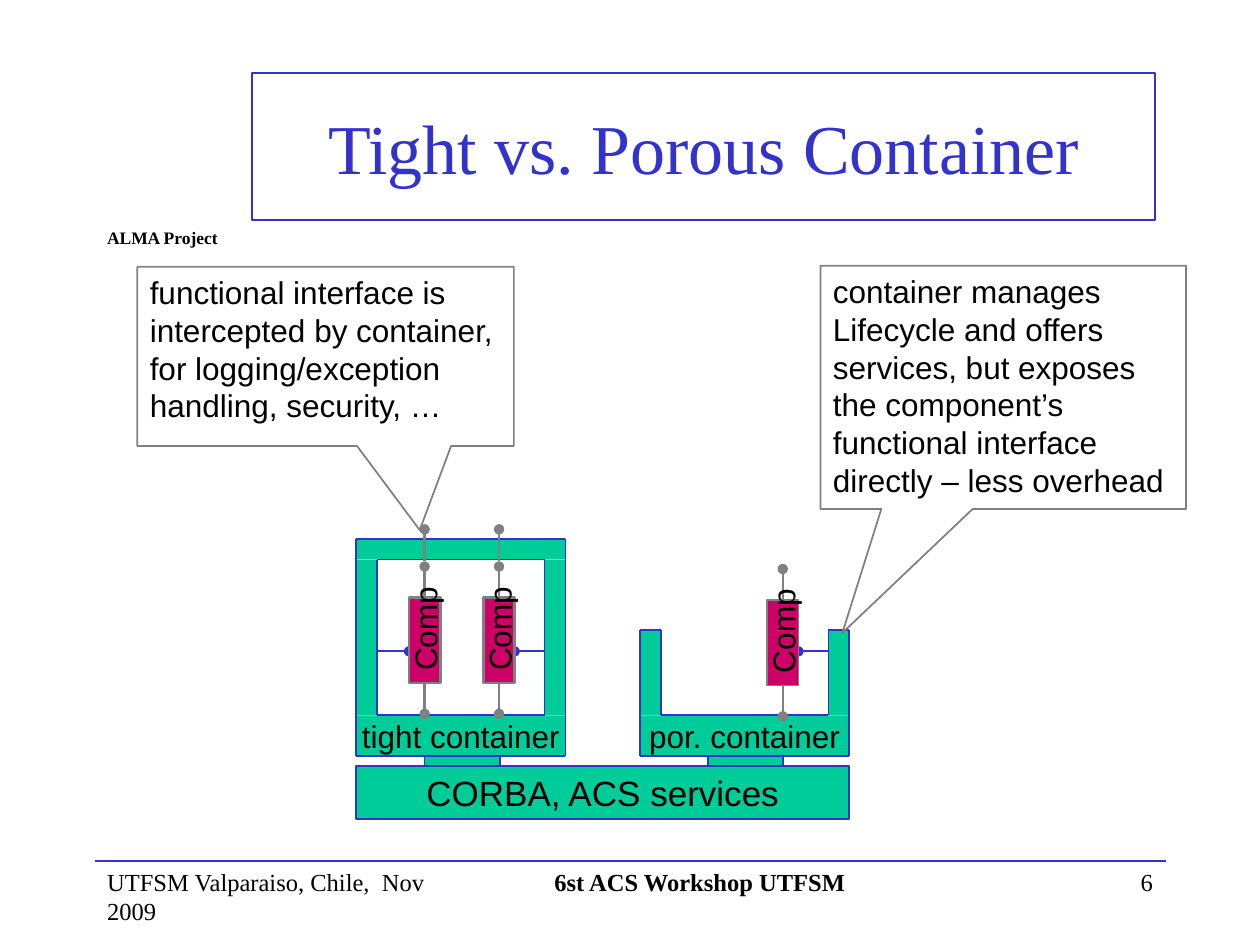
from itertools import pairwise

from lxml.etree import SubElement
from pptx import Presentation
from pptx.dml.color import RGBColor
from pptx.enum.shapes import MSO_CONNECTOR, MSO_SHAPE
from pptx.enum.text import MSO_ANCHOR, PP_ALIGN
from pptx.oxml.ns import qn
from pptx.util import Cm, Pt

COLORS = {"blue": "3333CC", "green": "00CC99", "magenta": "CC0066",
          "gray": "808080", "black": "000000"}

presentation = Presentation()
presentation.slide_width, presentation.slide_height = Cm(25.4), Cm(19.05)
slide = presentation.slides.add_slide(presentation.slide_layouts[6])


def add_box(text, left, top, width, height, kind=MSO_SHAPE.RECTANGLE, fill=None,
            line=None, weight=1, size=18, font="Arial", color="black", bold=False,
            align=PP_ALIGN.CENTER, anchor=MSO_ANCHOR.MIDDLE, wrap=False):
    """Add a shape, or a text box when kind is None; each text line is a paragraph."""
    place = Cm(left), Cm(top), Cm(width), Cm(height)
    if kind is None:
        shape = slide.shapes.add_textbox(*place)
    else:
        shape = slide.shapes.add_shape(kind, *place)
        shape.shadow.inherit = False
    if fill:
        shape.fill.solid()
        shape.fill.fore_color.rgb = RGBColor.from_string(COLORS[fill])
    else:
        shape.fill.background()
    if line:
        shape.line.color.rgb = RGBColor.from_string(COLORS[line])
        shape.line.width = Pt(weight)
    else:
        shape.line.fill.background()
    if text:
        frame = shape.text_frame
        frame.word_wrap = wrap
        frame.vertical_anchor = anchor
        frame.text = text
        for paragraph in frame.paragraphs:
            paragraph.alignment = align
            paragraph.font.size = Pt(size)
            paragraph.font.name = font
            paragraph.font.bold = bold
            paragraph.font.color.rgb = RGBColor.from_string(COLORS[color])
    return shape


def add_line(start, end, color="blue", weight=1, dot=False):
    """Add a straight line, with a round dot at its end if asked."""
    connector = slide.shapes.add_connector(
        MSO_CONNECTOR.STRAIGHT, *(Cm(value) for value in (*start, *end)))
    connector.line.color.rgb = RGBColor.from_string(COLORS[color])
    connector.line.width = Pt(weight)
    if dot:
        SubElement(connector.line._get_or_add_ln(), qn("a:tailEnd"), type="oval")
    SubElement(connector.element.spPr, qn("a:effectLst"))


# Title, project label and footer
serif = {"font": "Times New Roman"}
plain = {**serif, "kind": None, "anchor": MSO_ANCHOR.TOP, "wrap": True}
add_box("Tight vs. Porous Container", 5.08, 1.47, 18.21, 2.97, line="blue",
        size=40, color="blue", wrap=True, **serif)
add_box("ALMA Project", 1.91, 4.45, 2.79, 0.69, size=10, bold=True,
        align=PP_ALIGN.LEFT, **plain)
footer_top = 17.35
add_line((1.91, footer_top), (23.5, footer_top))
for text, left, width, align, bold in (
        ("UTFSM Valparaiso, Chile,  Nov  2009", 1.91, 7.59, PP_ALIGN.LEFT, False),
        ("6st ACS Workshop UTFSM ", 9.09, 10.16, PP_ALIGN.CENTER, True),
        ("6", 18.21, 5.28, PP_ALIGN.RIGHT, False)):
    add_box(text, left, footer_top, width, 1.27, size=14, bold=bold, align=align, **plain)

# Containers: filled walls, then their outlines
wall, outer_width, floor, bottom = 0.42, 4.22, 14.42, 15.24
tight_left, tight_top, ceiling = 7.18, 10.87, 11.28
porous_left, porous_top = 12.9, 12.7
tight_right, porous_right = tight_left + outer_width, porous_left + outer_width
tight_inner = tight_left + wall, tight_right - wall
porous_inner = porous_left + wall, porous_right - wall

add_box("", tight_left, tight_top, outer_width, ceiling - tight_top, fill="green")
for name, left, wall_top in (("tight container", tight_left, ceiling),
                             ("por. container", porous_left, porous_top)):
    add_box(name, left, floor, outer_width, bottom - floor, fill="green")
    for wall_left in (left, left + outer_width - wall):
        add_box("", wall_left, wall_top, wall, floor - wall_top, fill="green")

tight_outside = [(tight_left, tight_top), (tight_right, tight_top),
                 (tight_right, bottom), (tight_left, bottom), (tight_left, tight_top)]
tight_inside = [(tight_inner[0], ceiling), (tight_inner[1], ceiling),
                (tight_inner[1], floor), (tight_inner[0], floor),
                (tight_inner[0], ceiling)]
porous_outline = [(porous_left, porous_top), (porous_left, bottom),
                  (porous_right, bottom), (porous_right, porous_top),
                  (porous_inner[1], porous_top), (porous_inner[1], floor),
                  (porous_inner[0], floor), (porous_inner[0], porous_top),
                  (porous_left, porous_top)]
for outline in (tight_outside, tight_inside, porous_outline):
    for start, end in pairwise(outline):
        add_line(start, end)

# Services bus and the plugs that join the containers to it
add_box("CORBA, ACS services", tight_left, 15.44, porous_right - tight_left, 1.07,
        fill="green", line="blue", size=20)
for plug_left in (8.56, 14.27):
    add_box("", plug_left, bottom, 1.52, 0.2, fill="green", line="blue")

# Components with their pins
component_width, component_height, pin, link_y = 0.63, 1.73, 0.62, 13.13
for center, top, weight, wall_x in ((8.56, 12.04, 1.5, tight_inner[0]),
                                    (10.06, 12.04, 1.5, tight_inner[1]),
                                    (15.78, 12.09, 1, porous_inner[1])):
    half = component_width / 2
    edge = center - half if wall_x < center else center + half
    add_line((wall_x, link_y), (edge, link_y), dot=True)
    base = top + component_height
    for start_y, end_y in ((base, base + pin), (top, top - pin)):
        add_line((center, start_y), (center, end_y), "gray", weight, dot=True)
    component = add_box("Comp", center - half, top, component_width, component_height,
                        fill="magenta", line="gray", weight=weight)
    component.rotation = 180
    frame = component.text_frame
    frame.margin_left = frame.margin_right = Cm(0.13)
    frame.margin_top = frame.margin_bottom = Cm(0.25)
    component.element.find(".//" + qn("a:bodyPr")).set("vert", "eaVert")

# Interfaces that the tight container passes through its top
for center in (8.56, 10.06):
    add_line((center, 11.3), (center, 10.67), "gray", 1.5, dot=True)

# Callouts
for text, place, tip in (
        ("functional interface is intercepted by container,\n"
         "for logging/exception handling, security, …",
         (2.77, 5.38, 7.59, 3.61), (0.25, 0.97)),
        ("container manages Lifecycle and offers services, but exposes the "
         "component’s functional interface directly – less overhead",
         (16.54, 5.36, 7.37, 4.9), (-0.44, 1.01))):
    callout = add_box(text, *place, kind=MSO_SHAPE.RECTANGULAR_CALLOUT, line="gray",
                      align=PP_ALIGN.LEFT, anchor=MSO_ANCHOR.TOP, wrap=True)
    callout.adjustments[0], callout.adjustments[1] = tip

presentation.save("out.pptx")
